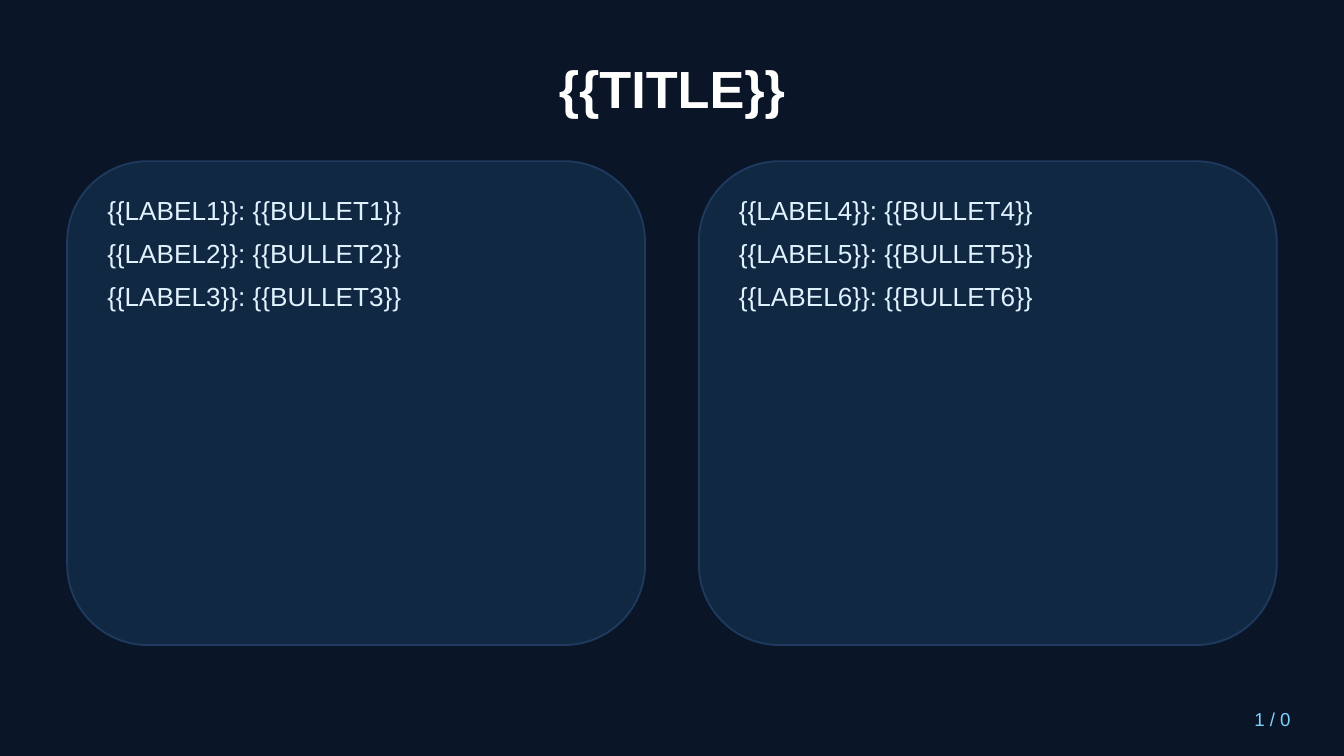
from lxml.etree import SubElement
from pptx import Presentation
from pptx.dml.color import RGBColor
from pptx.enum.shapes import MSO_SHAPE as Shape
from pptx.enum.text import MSO_ANCHOR as Anchor, PP_ALIGN as Align
from pptx.oxml.ns import qn
from pptx.util import Inches, Pt

TITLE = "{{TITLE}}"
CARDS = [
    ["{{LABEL1}}: {{BULLET1}}", "{{LABEL2}}: {{BULLET2}}", "{{LABEL3}}: {{BULLET3}}"],
    ["{{LABEL4}}: {{BULLET4}}", "{{LABEL5}}: {{BULLET5}}", "{{LABEL6}}: {{BULLET6}}"],
]
PAGE = "1 / 0"

COLORS = {
    "back": "0A1628", "card": "122A45", "edge": "1E3A5F",
    "title": "FFFFFF", "body": "E0F2FE", "page": "7DD3FC",
}
FONT = "Arial"
WIDTH, HEIGHT = 10, 10 * 9 / 16
MARGIN, GAP, PAD = 0.5, 0.4, 0.2
TOP, TALL = 1.2, 3.6
INNER = WIDTH - 2 * MARGIN
WIDE = (INNER - GAP * (len(CARDS) - 1)) / len(CARDS)


def color(name):
    return RGBColor.from_string(COLORS[name])


def place(*box):
    return [Inches(n) for n in box]


def add_text(slide, lines, box, size, tint, bold=False,
             align=Align.LEFT, anchor=Anchor.TOP, after=0):
    frame = slide.shapes.add_textbox(*place(*box)).text_frame
    frame.word_wrap = True
    frame.vertical_anchor = anchor
    frame.text = "\n".join(lines)
    for para in frame.paragraphs:
        para.alignment = align
        para.space_after = Pt(after)
        for run in para.runs:
            font = run.font
            font.name, font.size, font.bold = FONT, Pt(size), bold
            font.color.rgb = color(tint)


def add_card(slide, box, alpha=90):
    """Draw a rounded panel with alpha percent opacity."""
    card = slide.shapes.add_shape(Shape.ROUNDED_RECTANGLE, *place(*box))
    card.shadow.inherit = False
    card.fill.solid()
    card.fill.fore_color.rgb = color("card")
    tint = card.fill._xPr.find(qn("a:solidFill"))[0]
    SubElement(tint, qn("a:alpha"), val=str(alpha * 1000))
    card.line.color.rgb = color("edge")
    card.line.width = Pt(1)


def main():
    deck = Presentation()
    deck.slide_width, deck.slide_height = place(WIDTH, HEIGHT)
    slide = deck.slides.add_slide(deck.slide_layouts[6])
    slide.background.fill.solid()
    slide.background.fill.fore_color.rgb = color("back")

    add_text(slide, [TITLE], (MARGIN, 0.3, INNER, 0.7), 28, "title",
             bold=True, align=Align.CENTER, anchor=Anchor.MIDDLE)
    for col, lines in enumerate(CARDS):
        left = MARGIN + col * (WIDE + GAP)
        add_card(slide, (left, TOP, WIDE, TALL))
        inside = (left + PAD, TOP + PAD, WIDE - 2 * PAD, TALL - 2 * PAD)
        add_text(slide, lines, inside, 14, "body", after=6)
    add_text(slide, [PAGE], (8.5, 5.2, 1.2, 0.3), 10, "page",
             align=Align.RIGHT, anchor=Anchor.MIDDLE)
    deck.save("out.pptx")


if __name__ == "__main__":
    main()
